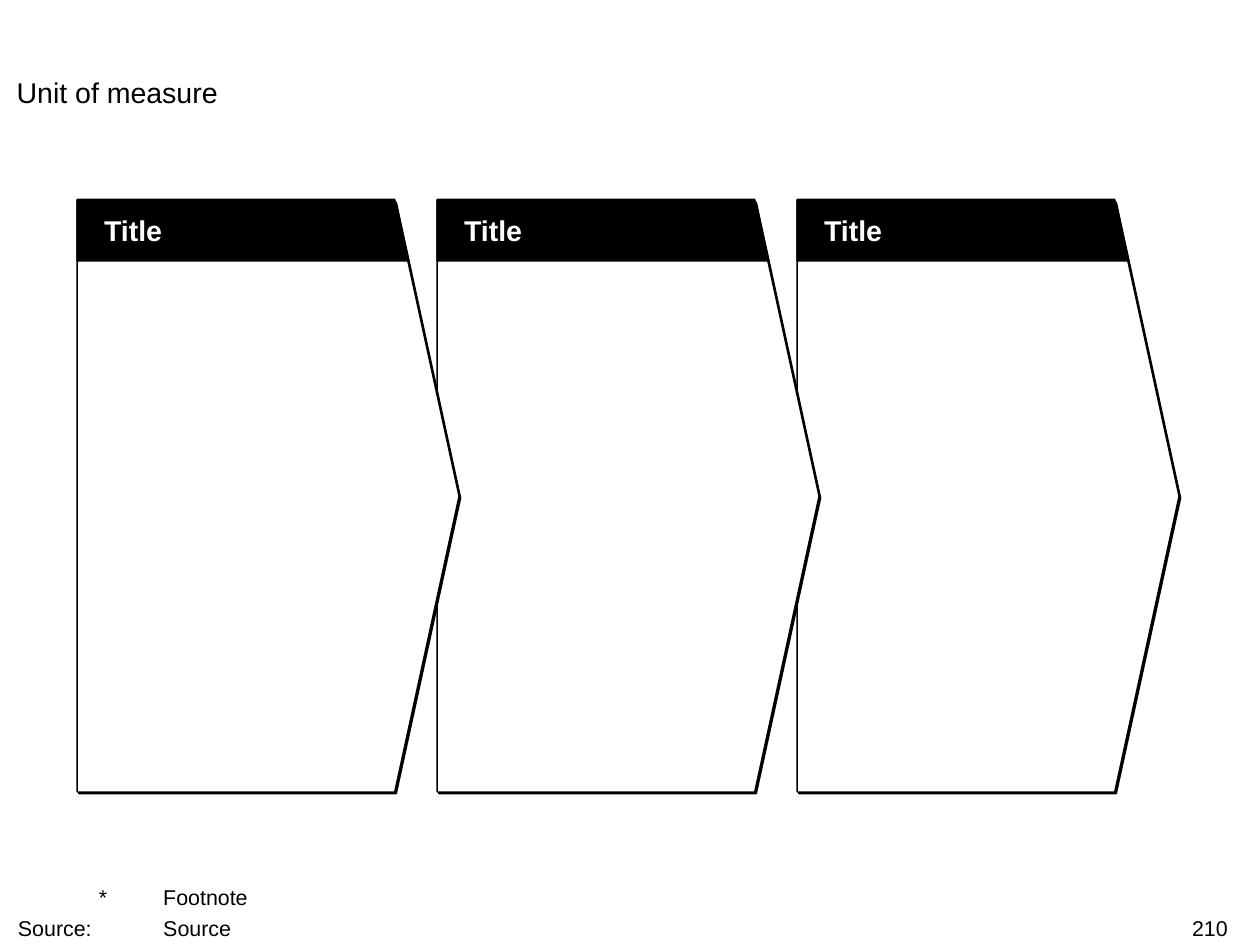
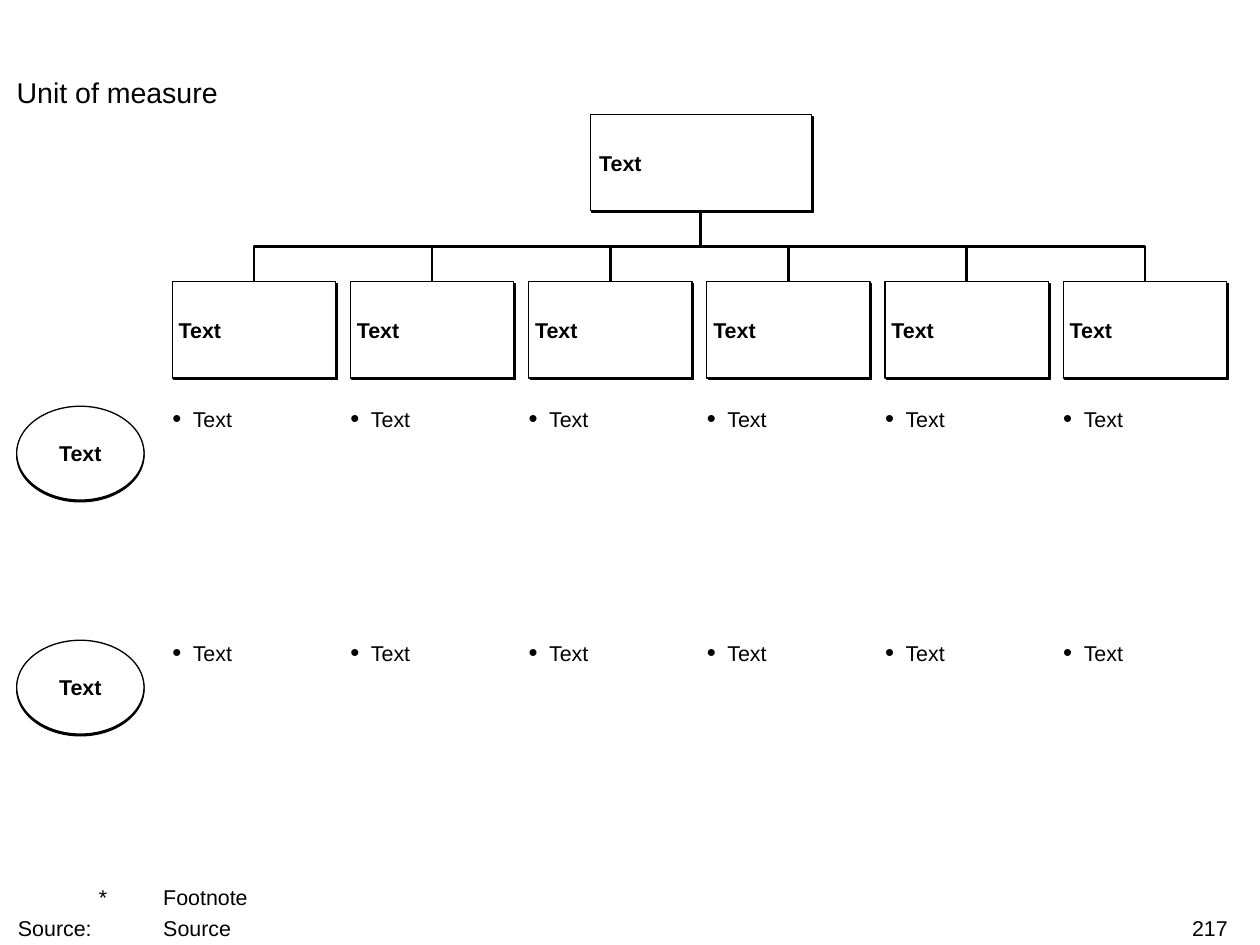
from dataclasses import dataclass

from lxml import etree
from pptx import Presentation
from pptx import util as u
from pptx.dml.color import RGBColor
from pptx.enum import shapes, text
from pptx.oxml import ns

# Content
UNIT = "Unit of measure"
NOTES = ["\t*\tFootnote", "Source:\t\tSource"]
STAGES_PAGE = "210"
STAGES = ["Title", "Title", "Title"]
TREE_PAGE = "217"
ROOT = "Text"
BRANCHES = ["Text"] * 6
ROWS = [("Text", ["Text"] * 6), ("Text", ["Text"] * 6)]


# Look shared by both slides
@dataclass(frozen=True)
class Theme:
    font: str = "Arial"
    ink: RGBColor = RGBColor(0, 0, 0)
    paper: RGBColor = RGBColor(255, 255, 255)
    heading: int = 16
    body: int = 12
    outline: float = 0.75
    branch: float = 1.5


THEME = Theme()
LEFT, CENTER, RIGHT = text.PP_ALIGN.LEFT, text.PP_ALIGN.CENTER, text.PP_ALIGN.RIGHT
TOP, MIDDLE, BOTTOM = (text.MSO_ANCHOR.TOP, text.MSO_ANCHOR.MIDDLE,
                       text.MSO_ANCHOR.BOTTOM)


def inches(*values):
    return [u.Inches(value) for value in values]


def add_xml(parent, tag, **attributes):
    return etree.SubElement(parent, ns.qn(tag), attributes)


def write(shape, lines, size=THEME.body, color=THEME.ink, bold=False,
          align=LEFT, anchor=TOP, inset=0, prepare=None):
    """Fill a shape with formatted paragraphs."""
    frame = shape.text_frame
    frame.text = "\n".join(lines)
    frame.word_wrap = True
    frame.auto_size = text.MSO_AUTO_SIZE.NONE
    frame.vertical_anchor = anchor
    frame.margin_left = frame.margin_right = u.Inches(inset)
    frame.margin_top = frame.margin_bottom = 0
    for paragraph in frame.paragraphs:
        paragraph.alignment = align
        if prepare:
            prepare(paragraph._p.get_or_add_pPr())
        for run in paragraph.runs:
            font = run.font
            font.name, font.size, font.bold = THEME.font, u.Pt(size), bold
            font.color.rgb = color


def add_text(slide, box, lines, **style):
    write(slide.shapes.add_textbox(*inches(*box)), lines, **style)


def paint(shape, fill, shadow=None):
    """Set fill and outline; shadow is (distance in points, degrees)."""
    shape.fill.solid()
    shape.fill.fore_color.rgb = fill
    shape.line.color.rgb = THEME.ink
    shape.line.width = u.Pt(THEME.outline)
    shape.shadow.inherit = False
    if shadow:
        distance, angle = shadow
        effects = shape._element.spPr.find(ns.qn("a:effectLst"))
        outer = add_xml(effects, "a:outerShdw", dist=str(u.Pt(distance)),
                        dir=str(angle * 60000), algn="ctr", rotWithShape="0")
        add_xml(outer, "a:srgbClr", val=str(THEME.ink))


def hang(pPr, indent):
    pPr.set("marL", str(u.Inches(indent)))
    pPr.set("indent", str(-u.Inches(indent)))


def note_tabs(pPr):
    hang(pPr, 0.63)
    tabs = add_xml(pPr, "a:tabLst")
    for position, side in [(0, "l"), (0.58, "r"), (0.98, "l")]:
        add_xml(tabs, "a:tab", pos=str(u.Inches(position)), algn=side)


def bullet(pPr):
    hang(pPr, 0.16)
    add_xml(add_xml(pPr, "a:buClr"), "a:srgbClr", val=str(THEME.ink))
    add_xml(pPr, "a:buSzPct", val="120000")
    add_xml(pPr, "a:buFont", typeface=THEME.font)
    add_xml(pPr, "a:buChar", char="•")


def add_slide(deck, page):
    """Add a slide with its unit line, notes and page number."""
    slide = deck.slides.add_slide(deck.slide_layouts[5])
    title = slide.shapes.title
    title.left, title.top, title.width, title.height = inches(0.13, 0.58, 9.43, 0.27)
    write(title, [UNIT], size=THEME.heading)
    add_text(slide, (0.14, 6.88, 8.93, 0.44), NOTES, anchor=BOTTOM,
             prepare=note_tabs)
    notes = slide.shapes[-1].text_frame
    notes.paragraphs[1].space_before = u.Pt(3)
    add_text(slide, (7.51, 7.12, 2.04, 0.2), [page], align=RIGHT)
    return slide


# Stage arrows
def add_outline(slide, points):
    start, *rest = [inches(*point) for point in points]
    builder = slide.shapes.build_freeform(*start, scale=1.0)
    builder.add_line_segments(rest, close=True)
    return builder.convert_to_shape()


def build_stages(deck):
    slide = add_slide(deck, STAGES_PAGE)
    first, pitch, side, tip = 0.6, 2.8, 2.47, 2.97
    top, middle, bottom = 1.56, 3.86, 6.16
    band_top, band_bottom, band_tip = 1.55, 2.03, 2.58
    # The last stage goes furthest back
    for index, stage in reversed(list(enumerate(STAGES))):
        x = first + index * pitch
        arrow = add_outline(slide, [(x, top), (x + side, top), (x + tip, middle),
                                    (x + side, bottom), (x, bottom)])
        paint(arrow, THEME.paper, shadow=(1.4, 45))
        band = add_outline(slide, [(x, band_top), (x + side, band_top),
                                   (x + band_tip, band_bottom), (x, band_bottom)])
        paint(band, THEME.ink)
        write(band, [stage], size=THEME.heading, color=THEME.paper, bold=True,
              anchor=MIDDLE, inset=0.21)


# Tree with rows
def add_label(slide, kind, box, label, shadow, **style):
    shape = slide.shapes.add_shape(kind, *inches(*box))
    paint(shape, THEME.paper, shadow)
    write(shape, [label], bold=True, anchor=MIDDLE, **style)


def add_branch(slide, start, end):
    """Draw an elbow that leaves downwards, as a turned connector."""
    (x1, y1), (x2, y2) = start, end
    drop, reach = y2 - y1, abs(x2 - x1)
    left, top = (x1 + x2 - drop) / 2, (y1 + y2 - reach) / 2
    ends, turn = (left, left + drop), 90
    if x2 > x1:
        ends, turn = (left + drop, left), 270
    branch = slide.shapes.add_connector(
        shapes.MSO_CONNECTOR.ELBOW, *inches(ends[0], top, ends[1], top + reach))
    branch.line.color.rgb = THEME.ink
    branch.line.width = u.Pt(THEME.branch)
    properties = branch._element.spPr
    properties.find(ns.qn("a:xfrm")).set("rot", str(turn * 60000))
    add_xml(properties, "a:effectLst")


def build_tree(deck):
    slide = add_slide(deck, TREE_PAGE)
    rect, ellipse = shapes.MSO_SHAPE.RECTANGLE, shapes.MSO_SHAPE.OVAL
    root_x, root_y, root_width, height = 4.59, 0.89, 1.72, 0.75
    first, last, branch_y, width = 1.34, 8.27, 2.19, 1.27
    row_y, row_pitch = 3.16, 1.82
    pitch = (last - first) / (len(BRANCHES) - 1)
    columns = [first + index * pitch for index in range(len(BRANCHES))]

    root_foot = (root_x + root_width / 2, root_y + height)
    for x in columns:
        add_branch(slide, root_foot, (x + width / 2, branch_y))
    add_label(slide, rect, (root_x, root_y, root_width, height), ROOT,
              (1.4, 45), inset=0.07)
    for x, branch in zip(columns, BRANCHES):
        add_label(slide, rect, (x, branch_y, width, height), branch,
                  (1.4, 45), inset=0.05)

    for index, (row, points) in enumerate(ROWS):
        y = row_y + index * row_pitch
        add_label(slide, ellipse, (0.13, y, 0.99, 0.73), row, (1, 90),
                  align=CENTER)
        for x, point in zip(columns, points):
            add_text(slide, (x, y, width, 0.2), [point], prepare=bullet)


def main():
    deck = Presentation()
    deck.slide_width, deck.slide_height = inches(9.8, 7.35)
    build_stages(deck)
    build_tree(deck)
    deck.save("out.pptx")


if __name__ == "__main__":
    main()
